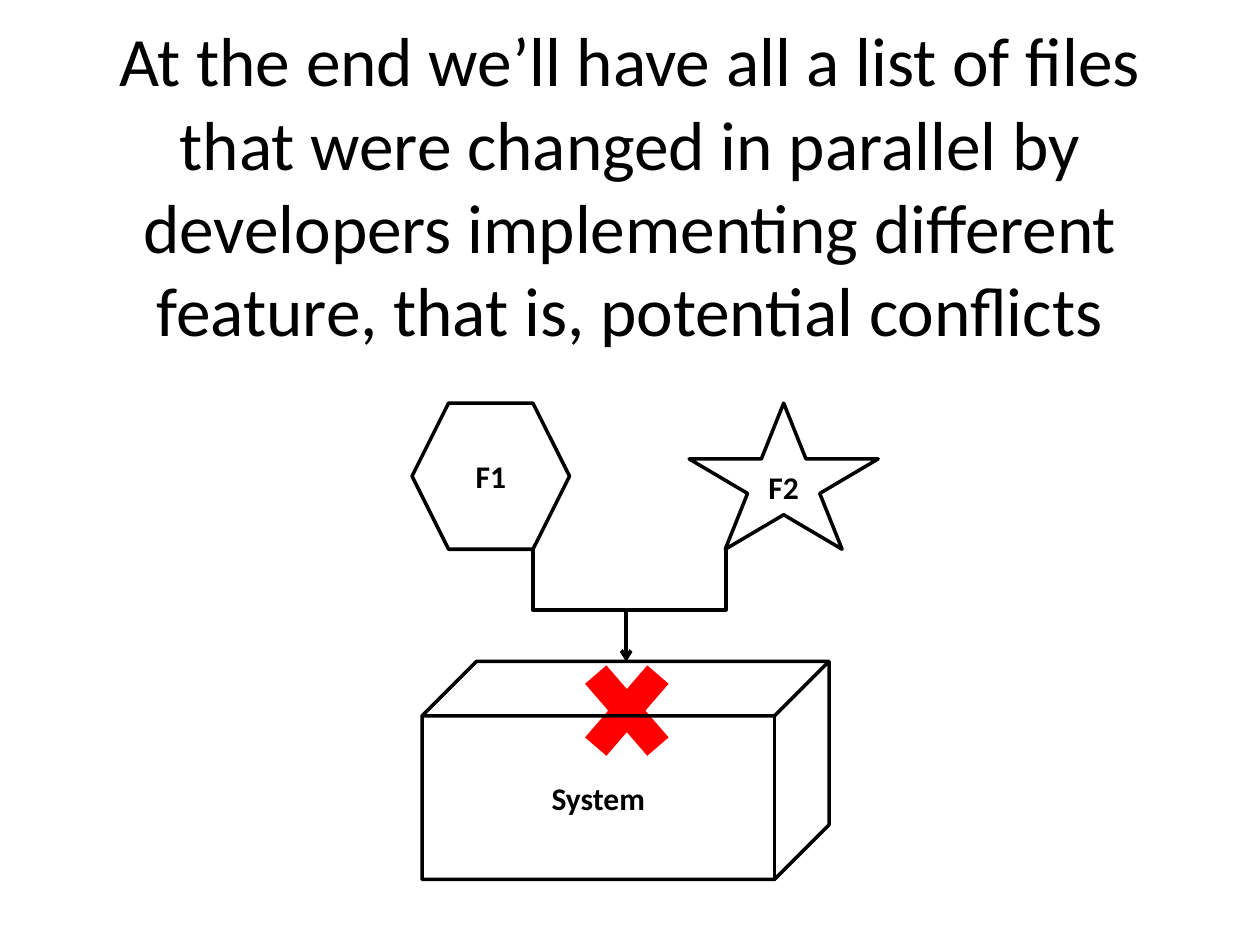
from dataclasses import dataclass

from pptx import Presentation
from pptx.dml.color import RGBColor
from pptx.enum.shapes import MSO_CONNECTOR, MSO_SHAPE
from pptx.enum.text import MSO_ANCHOR, MSO_AUTO_SIZE, PP_ALIGN
from pptx.oxml.ns import qn
from pptx.util import Inches, Pt
from lxml.etree import SubElement

COLORS = {"ink": "000000", "conflict": "FF0000"}
FONT = "Calibri"
TITLE = (
    "At the end we’ll have all a list of files that were changed in parallel "
    "by developers implementing different feature, that is, potential conflicts"
)


@dataclass
class Node:
    kind: MSO_SHAPE
    left: float
    top: float
    width: float
    height: float
    label: str = ""
    fill: str = ""


@dataclass
class Merge:
    """An elbow that goes down, across and down again."""
    start: tuple[float, float]
    end: tuple[float, float]
    bend: float = 0.54


FEATURE_2 = Node(MSO_SHAPE.STAR_5_POINT, 5.47, 3.2, 1.5, 1.16, "F2")
FEATURE_1 = Node(MSO_SHAPE.HEXAGON, 3.27, 3.2, 1.25, 1.16, "F1")
CONFLICT = Node(MSO_SHAPE.MATH_MULTIPLY, 4.5, 5.09, 0.95, 1.1, fill="conflict")
SYSTEM = Node(MSO_SHAPE.CUBE, 3.35, 5.25, 3.23, 1.73, "System")
JOIN = (4.97, SYSTEM.top)
MERGES = [Merge((5.76, 4.36), JOIN), Merge((4.23, 4.36), JOIN)]


def color(name: str) -> RGBColor:
    return RGBColor.from_string(COLORS[name])


def write_text(shape, text: str, size: float, bold: bool = False) -> None:
    frame = shape.text_frame
    frame.text = text
    frame.word_wrap = True
    frame.auto_size = MSO_AUTO_SIZE.NONE
    frame.vertical_anchor = MSO_ANCHOR.MIDDLE
    paragraph = frame.paragraphs[0]
    paragraph.alignment = PP_ALIGN.CENTER
    font = paragraph.font
    font.name, font.size, font.bold = FONT, Pt(size), bold
    font.color.rgb = color("ink")


def outline(line) -> None:
    line.color.rgb = color("ink")
    line.width = Pt(2)


def draw_node(slide, node: Node) -> None:
    box = map(Inches, (node.left, node.top, node.width, node.height))
    shape = slide.shapes.add_shape(node.kind, *box)
    shape.shadow.inherit = False
    if node.fill:
        shape.fill.solid()
        shape.fill.fore_color.rgb = color(node.fill)
        shape.line.fill.background()
    else:
        shape.fill.background()
        outline(shape.line)
    if node.label:
        write_text(shape, node.label, 18, bold=True)


def draw_merge(slide, merge: Merge) -> None:
    (x1, y1), (x2, y2) = merge.start, merge.end
    # The elbow lies on its side, so its box is turned about its centre
    half_run, half_rise = (y2 - y1) / 2, abs(x2 - x1) / 2
    center_x, center_y = (x1 + x2) / 2, (y1 + y2) / 2
    side = 1 if x2 > x1 else -1
    connector = slide.shapes.add_connector(
        MSO_CONNECTOR.ELBOW,
        Inches(center_x + side * half_run), Inches(center_y - half_rise),
        Inches(center_x - side * half_run), Inches(center_y + half_rise),
    )
    outline(connector.line)
    properties = connector._element.spPr
    turn = 270 if side > 0 else 90
    properties.find(qn("a:xfrm")).set("rot", str(turn * 60000))
    geometry = properties.find(qn("a:prstGeom"))
    adjustments = geometry.find(qn("a:avLst"))
    if adjustments is None:
        adjustments = SubElement(geometry, qn("a:avLst"))
    SubElement(adjustments, qn("a:gd"), name="adj1",
               fmla=f"val {round(merge.bend * 100000)}")
    SubElement(properties.find(qn("a:ln")), qn("a:tailEnd"), type="arrow")
    SubElement(properties, qn("a:effectLst"))


def main() -> None:
    presentation = Presentation()
    presentation.slide_width = Inches(10)
    presentation.slide_height = Inches(7.5)
    slide = presentation.slides.add_slide(presentation.slide_layouts[5])

    # Title
    title = slide.shapes.title
    title.left, title.top = Inches(0.5), Inches(0.05)
    title.width, title.height = Inches(9), Inches(2.82)
    write_text(title, TITLE, 39.6)

    # Features, conflict mark, merging arrows, and the system in front
    for node in (FEATURE_2, FEATURE_1, CONFLICT):
        draw_node(slide, node)
    for merge in MERGES:
        draw_merge(slide, merge)
    draw_node(slide, SYSTEM)

    presentation.save("out.pptx")


if __name__ == "__main__":
    main()
